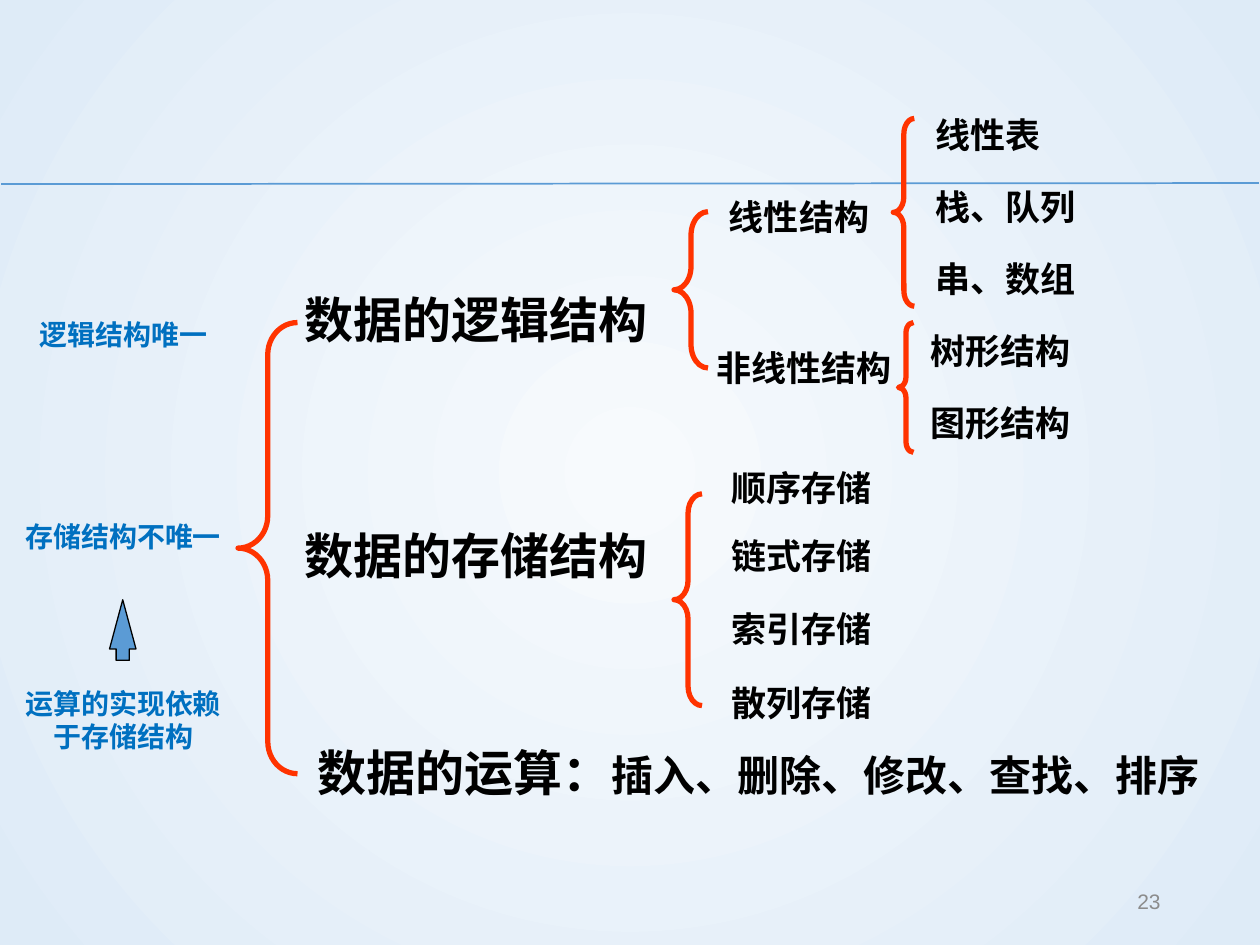
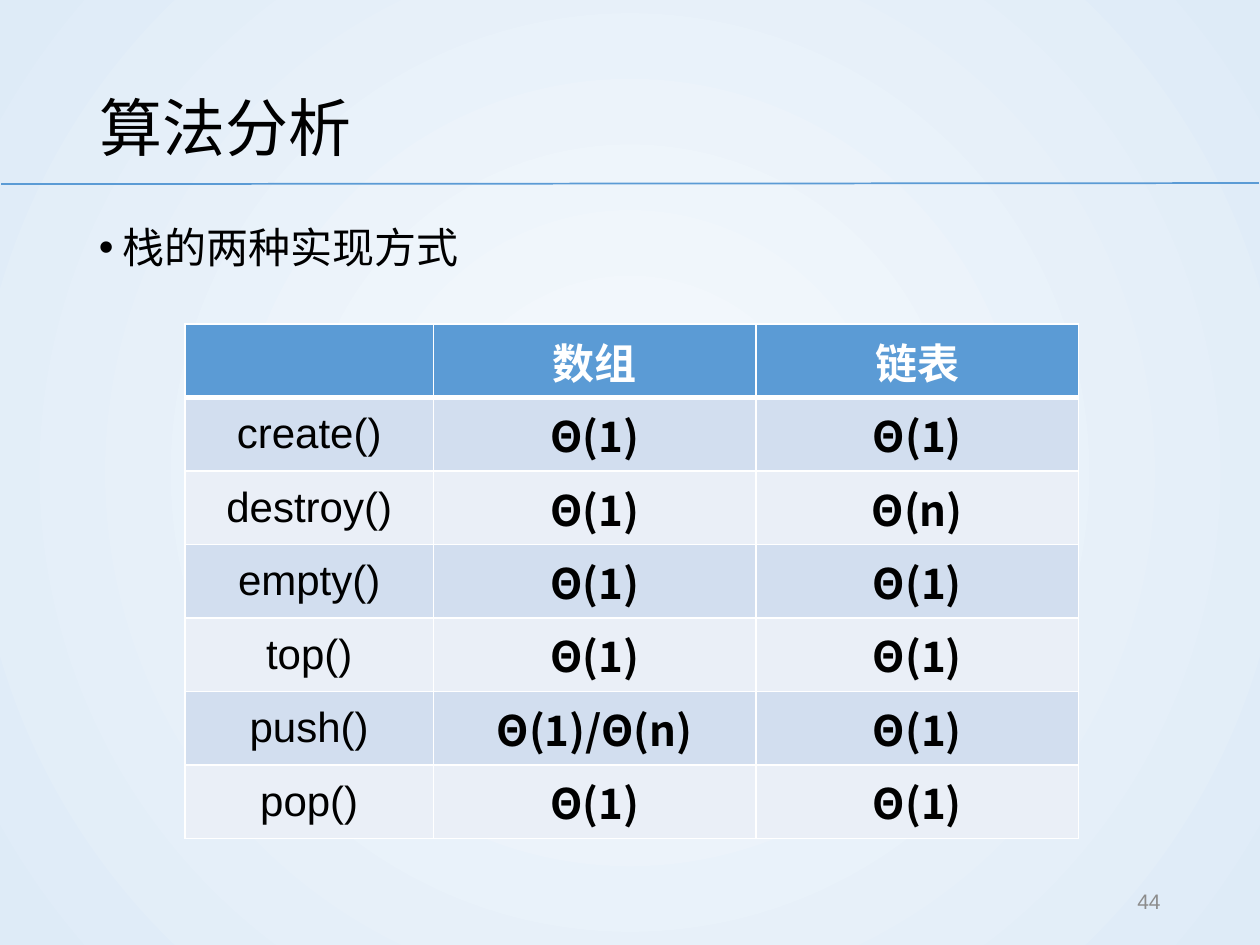
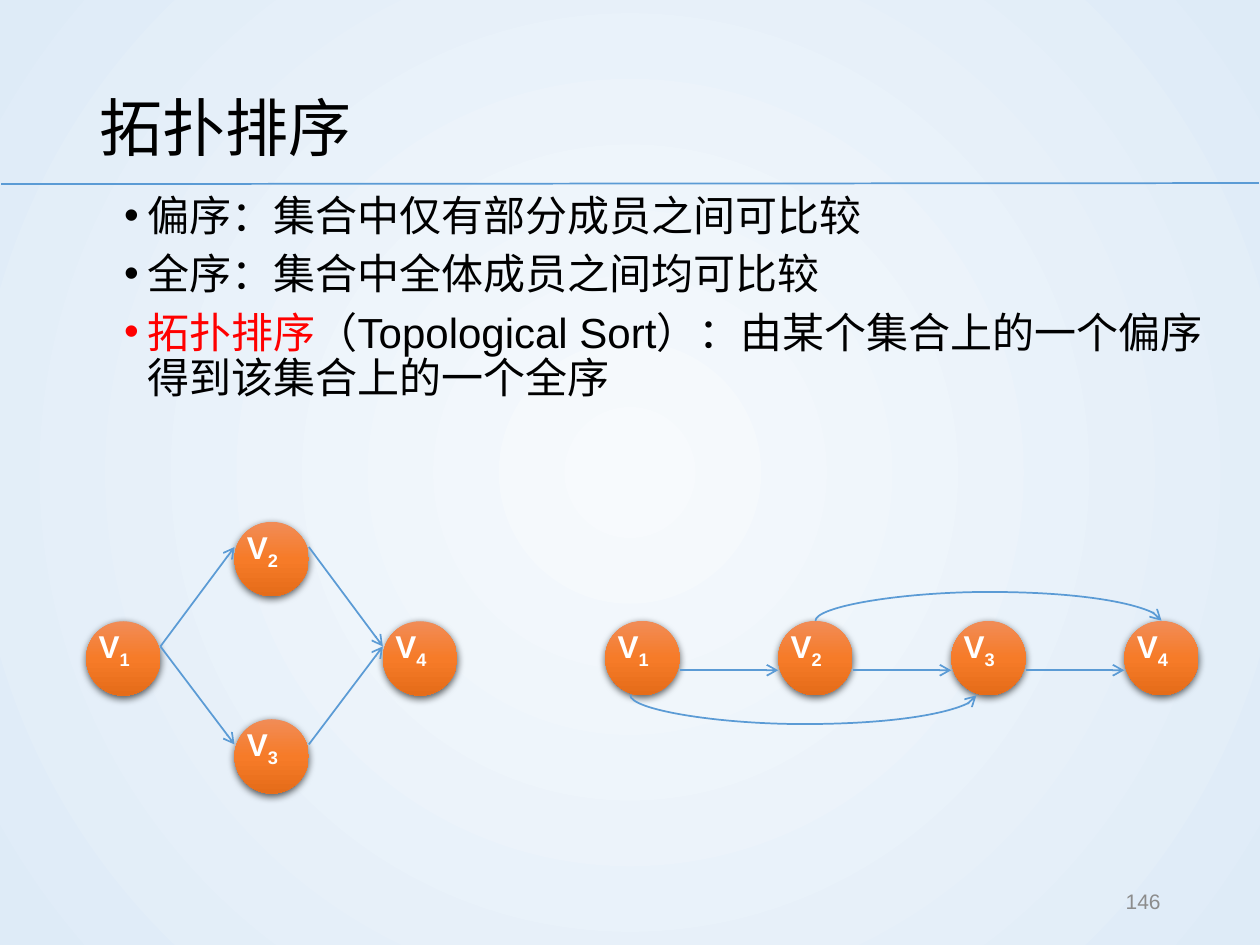
import pptx
import pptx.util
import pptx.dml.color
import pptx.enum.shapes
import pptx.enum.text
import pptx.oxml
import pptx.oxml.ns

Pt = pptx.util.Pt
RGBColor = pptx.dml.color.RGBColor
SHAPE = pptx.enum.shapes.MSO_SHAPE
CONNECTOR = pptx.enum.shapes.MSO_CONNECTOR
ALIGN = pptx.enum.text.PP_ALIGN
ANCHOR = pptx.enum.text.MSO_ANCHOR
qn = pptx.oxml.ns.qn

BLACK = RGBColor(0x00, 0x00, 0x00)
WHITE = RGBColor(0xFF, 0xFF, 0xFF)
BLUE = RGBColor(0x5B, 0x9B, 0xD5)
NOTE_BLUE = RGBColor(0x00, 0x70, 0xC0)
BRACE_RED = RGBColor(0xFF, 0x33, 0x00)
RED = RGBColor(0xFF, 0x00, 0x00)
GREY = RGBColor(0x8C, 0x8C, 0x8C)
BAND_DARK = RGBColor(0xD2, 0xDE, 0xEF)
BAND_LIGHT = RGBColor(0xEA, 0xEF, 0xF7)
PAGE_CENTRE = RGBColor(0xF7, 0xFA, 0xFD)
PAGE_EDGE = RGBColor(0xDE, 0xEB, 0xF7)
BALL_TOP = RGBColor(0xF1, 0x8C, 0x57)
BALL_MIDDLE = RGBColor(0xF6, 0x7B, 0x28)
BALL_BOTTOM = RGBColor(0xE5, 0x6C, 0x19)

HAN = "Noto Sans CJK SC"
LATIN = "Arial"
BALL = 42.5
CURVE_DEPTH = 0.12
CURVE_BULGE = 17.5


def element(xml):
    head, tail = xml.split(" ", 1)
    return pptx.oxml.parse_xml(f"{head} {pptx.oxml.ns.nsdecls('a')} {tail}")


def set_gradient(fill, owner, stops, direction):
    fill.solid()
    solid = owner.find(".//" + qn("a:solidFill"))
    marks = "".join(f'<a:gs pos="{place * 1000}"><a:srgbClr val="{color}"/></a:gs>'
                    for place, color in stops)
    solid.getparent().replace(solid, element(
        f'<a:gradFill rotWithShape="1"><a:gsLst>{marks}</a:gsLst>{direction}</a:gradFill>'))


def format_span(span, size, color=BLACK, font=HAN, bold=False):
    span.font.size = Pt(size)
    span.font.color.rgb = color
    span.font.bold = bold
    span.font.name = font
    latin = span.font._element.find(qn("a:latin"))
    latin.addnext(element(f'<a:ea typeface="{HAN}"/>'))


def add_span(para, text, size, **style):
    span = para.add_run()
    span.text = text
    format_span(span, size, **style)
    return span


def add_box(shapes, left, top, width, height, anchor=ANCHOR.TOP, wrap=True):
    box = shapes.add_textbox(Pt(left), Pt(top), Pt(width), Pt(height))
    box.text_frame.word_wrap = wrap
    box.text_frame.vertical_anchor = anchor
    return box.text_frame


def add_line(shapes, start, end, arrow=False, kind=CONNECTOR.STRAIGHT):
    line = shapes.add_connector(kind, *map(Pt, start + end))
    line.line.color.rgb = BLUE
    line.line.width = Pt(1)
    outline = line._element.spPr.find(qn("a:ln"))
    if arrow:
        outline.append(element('<a:tailEnd type="arrow"/>'))
    outline.addnext(element("<a:effectLst />"))
    return line


def add_curve(shapes, start, end, level, upward):
    centre, span = (start + end) / 2, end - start
    left, top = centre - CURVE_DEPTH / 2, level - span / 2
    curve = add_line(shapes, (left, top), (left + CURVE_DEPTH, top + span), True, CONNECTOR.CURVE)
    frame = curve._element.spPr.find(qn("a:xfrm"))
    frame.set("rot", str((90 if upward else 270) * 60000))
    frame.set("flipH", "1")
    if upward:
        frame.set("flipV", "1")
    geometry = curve._element.spPr.find(qn("a:prstGeom"))
    for values in geometry.findall(qn("a:avLst")):
        geometry.remove(values)
    bulge = round(CURVE_BULGE / CURVE_DEPTH * 100000)
    geometry.append(element(f'<a:avLst ><a:gd name="adj1" fmla="val {bulge}"/></a:avLst>'))


def add_page(deck, number, title=None, title_font=HAN):
    page = deck.slides.add_slide(deck.slide_layouts[6])
    set_gradient(page.background.fill, page._element, [(0, PAGE_CENTRE), (100, PAGE_EDGE)],
                 '<a:path path="circle"><a:fillToRect l="50000" t="50000" r="50000" b="50000"/></a:path>')
    add_line(page.shapes, (0.7, 105.2), (719.3, 104.6))
    if title:
        para = add_box(page.shapes, 50, 28.8, 621, 77.8, ANCHOR.MIDDLE).paragraphs[0]
        para.line_spacing = Pt(52.5)
        add_span(para, title, 36, font=title_font)
    para = add_box(page.shapes, 508.3, 500.4, 162, 28.8, ANCHOR.MIDDLE).paragraphs[0]
    para.alignment = ALIGN.RIGHT
    add_span(para, str(number), 12, color=GREY, font=LATIN)
    return page


def add_bullets(page, left, top, width, height, spacing, items, font):
    frame = add_box(page.shapes, left, top, width, height)
    for index, spans in enumerate(items):
        para = frame.add_paragraph() if index else frame.paragraphs[0]
        para.line_spacing = Pt(spacing)
        if index:
            para.space_before = Pt(7.5)
        properties = para._p.get_or_add_pPr()
        properties.set("marL", str(Pt(13.5)))
        properties.set("indent", str(-Pt(13.5)))
        properties.append(element('<a:buFont typeface="Arial"/>'))
        properties.append(element('<a:buChar char="•"/>'))
        for text, color in spans:
            add_span(para, text, 24, color=color, font=font)


def add_label(page, left, top, *spans):
    width = sum(len(text) * size for text, size in spans) + 14.4
    tallest = max(size for text, size in spans)
    para = add_box(page.shapes, left, top, width, tallest * 1.2 + 7.2, wrap=False).paragraphs[0]
    para.line_spacing = Pt(tallest * 1.2)
    for text, size in spans:
        add_span(para, text, size, bold=True)


def add_note(page, top, height, text):
    para = add_box(page.shapes, 5, top, 131, height).paragraphs[0]
    para.alignment = ALIGN.CENTER
    para.line_spacing = Pt(19.2)
    add_span(para, text, 16, color=NOTE_BLUE, bold=True)


def add_preset(shapes, kind, left, top, width, height, adjustments=()):
    shape = shapes.add_shape(kind, Pt(left), Pt(top), Pt(width), Pt(height))
    shape.shadow.inherit = False
    for index, value in enumerate(adjustments):
        shape.adjustments[index] = value
    return shape


def add_brace(page, left, top, width, height, curl):
    brace = add_preset(page.shapes, SHAPE.LEFT_BRACE, left, top, width, height, (curl, 0.5))
    brace.fill.background()
    brace.line.color.rgb = BRACE_RED
    brace.line.width = Pt(3)


def add_vertex(shapes, left, top, number):
    ball = add_preset(shapes, SHAPE.FLOWCHART_CONNECTOR, left, top, BALL, BALL)
    ball.line.fill.background()
    properties = ball._element.spPr
    set_gradient(ball.fill, properties, [(0, BALL_TOP), (50, BALL_MIDDLE), (100, BALL_BOTTOM)],
                 '<a:lin ang="5400000" scaled="0"/>')
    properties.find(qn("a:effectLst")).append(element(
        f'<a:outerShdw blurRad="{Pt(4.5)}" dist="{Pt(1.5)}" dir="5400000" rotWithShape="0">'
        '<a:srgbClr val="000000"><a:alpha val="63000"/></a:srgbClr></a:outerShdw>'))
    para = add_box(shapes, left, top, BALL, 28.8).paragraphs[0]
    style = dict(color=WHITE, font=LATIN, bold=True)
    add_span(para, "V", 18, **style)
    subscript = add_span(para, str(number), 18, **style)
    subscript.font._element.set("baseline", "-25000")


def set_borders(cell, widths):
    properties = cell._tc.get_or_add_tcPr()
    for index, (side, width) in enumerate(zip("LRTB", widths)):
        properties.insert(index, element(
            f'<a:ln{side} w="{Pt(width)}"><a:solidFill><a:srgbClr val="{WHITE}"/></a:solidFill></a:ln{side}>'))


def add_cost_table(page, rows):
    table = page.shapes.add_table(len(rows), 3, Pt(105.8), Pt(185.2), Pt(510.6), Pt(42 * len(rows))).table
    table.horz_banding = False
    for column, width in zip(table.columns, (141.8, 184.4, 184.4)):
        column.width = Pt(width)
    for row, texts in enumerate(rows):
        for column, text in enumerate(texts):
            cell = table.cell(row, column)
            cell.fill.solid()
            cell.fill.fore_color.rgb = (BAND_DARK if row % 2 else BAND_LIGHT) if row else BLUE
            set_borders(cell, (1, 1, 3 if row == 1 else 1, 1 if row else 3))
            cell.vertical_anchor = ANCHOR.MIDDLE
            para = cell.text_frame.paragraphs[0]
            para.alignment = ALIGN.CENTER
            if text:
                add_span(para, text, 24, color=BLACK if row else WHITE,
                         font=HAN if row and column else LATIN, bold=row == 0 or column > 0)


def build_structure_page(deck):
    page = add_page(deck, 23)
    for brace in ((136, 184.3, 34, 257.8, 0.54), (385.2, 282.2, 16, 121, 0.69),
                  (510.5, 67.7, 12, 107.3, 0.74), (513.4, 184.3, 8.6, 74.2, 0.69),
                  (385.2, 121, 19.4, 89.3, 0.69)):
        add_brace(page, *brace)
    add_label(page, 167, 162, ("数据的逻辑结构", 28))
    add_label(page, 167, 296.6, ("数据的存储结构", 28))
    add_label(page, 174.4, 420.5, ("数据的运算：", 28), ("插入、删除、修改、查找、排序", 24))
    add_label(page, 409.5, 108, ("线性结构", 20))
    add_label(page, 402.4, 194.4, ("非线性结构", 20))
    for top, text in ((263, "顺序存储"), (301.8, "链式存储"), (343.5, "索引存储"), (385.9, "散列存储")):
        add_label(page, 410.7, top, (text, 20))
    for index, text in enumerate(("线性表", "栈、队列", "串、数组", "树形结构", "图形结构")):
        add_label(page, 527.6 if index < 3 else 524.6, 61.2 + 41.1 * index, (text, 20))
    add_note(page, 178, 27, "逻辑结构唯一")
    add_note(page, 293.5, 27, "存储结构不唯一")
    add_note(page, 388.5, 46, "运算的实现依赖于存储结构")
    arrow = add_preset(page.shapes, SHAPE.UP_ARROW, 62.6, 342.7, 15.1, 34.6, (0.5, 1.86))
    arrow.fill.solid()
    arrow.fill.fore_color.rgb = BLUE
    arrow.line.color.rgb = BLACK
    arrow.line.width = Pt(0.75)


def build_cost_page(deck):
    page = add_page(deck, 44, "算法分析")
    add_bullets(page, 49.5, 117.4, 621, 369.4, 34.5, [[("栈的两种实现方式", BLACK)]], HAN)
    constant = "Θ(1)"
    add_cost_table(page, [
        ("", "数组", "链表"),
        ("create()", constant, constant),
        ("destroy()", constant, "Θ(n)"),
        ("empty()", constant, constant),
        ("top()", constant, constant),
        ("push()", "Θ(1)/Θ(n)", constant),
        ("pop()", constant, constant),
    ])


def build_sort_page(deck):
    page = add_page(deck, 146, "拓扑排序", LATIN)
    add_bullets(page, 63.8, 107.8, 641.5, 198, 25.8, [
        [("偏序：集合中仅有部分成员之间可比较", BLACK)],
        [("全序：集合中全体成员之间均可比较", BLACK)],
        [("拓扑排序", RED),
         ("（Topological Sort）：由某个集合上的一个偏序得到该集合上的一个全序", BLACK)],
    ], LATIN)

    partial = page.shapes.add_group_shape().shapes
    diamond = [(49.2, 355), (134, 298.2), (134, 411), (218.8, 355)]
    for number, (left, top) in enumerate(diamond, 1):
        add_vertex(partial, left, top, number)
    for tail, head in ((0, 1), (0, 2), (1, 3), (2, 3)):
        (left, top), (target_left, target_top) = diamond[tail], diamond[head]
        add_line(partial, (left + BALL, top + 14.4), (target_left, target_top + 14.4), True)

    total = page.shapes.add_group_shape().shapes
    top = 354.8
    lefts = [345.8 + 98.9 * index for index in range(4)]
    for number, left in enumerate(lefts, 1):
        add_vertex(total, left, top, number)
    for left, target in zip(lefts, lefts[1:]):
        add_line(total, (left + BALL, 383), (target, 383), True)
    add_curve(total, lefts[1] + BALL / 2, lefts[3] + BALL / 2, top, True)
    add_curve(total, lefts[0] + 14.4, lefts[2] + 14.4, top + BALL, False)


def main():
    deck = pptx.Presentation()
    deck.slide_width, deck.slide_height = Pt(720), Pt(540)
    build_structure_page(deck)
    build_cost_page(deck)
    build_sort_page(deck)
    deck.save("out.pptx")


if __name__ == "__main__":
    main()
